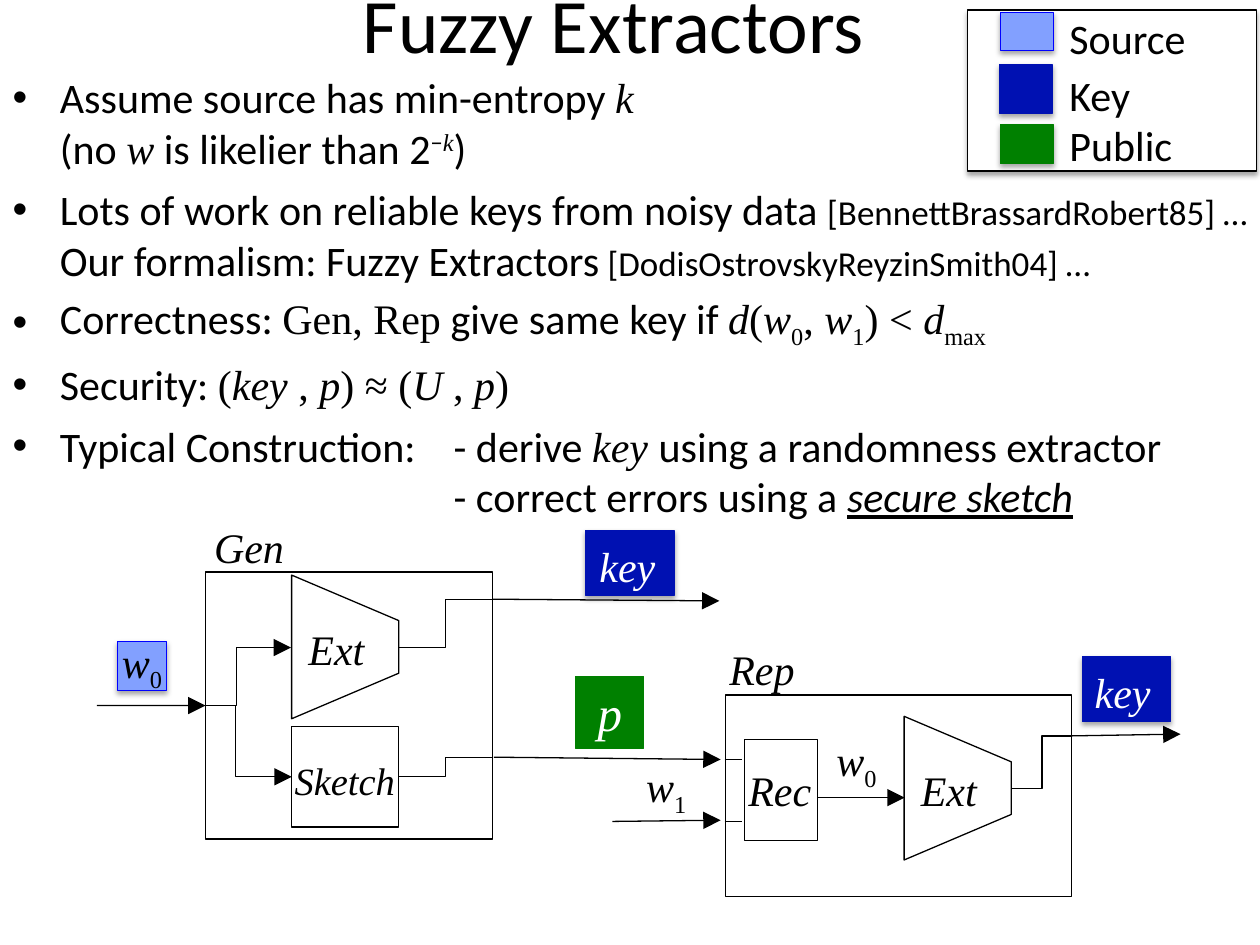
"""Build the Fuzzy Extractors slide: bullets, colour legend and the Gen / Rep diagram."""
from dataclasses import dataclass

from lxml.etree import SubElement
from pptx import Presentation
from pptx.dml.color import RGBColor
from pptx.enum.shapes import MSO_CONNECTOR, MSO_SHAPE
from pptx.enum.text import MSO_ANCHOR, MSO_AUTO_SIZE, PP_ALIGN
from pptx.oxml.ns import qn
from pptx.util import Pt


@dataclass(frozen=True)
class Theme:
    sans: str = "Calibri"
    serif: str = "Times New Roman"
    black: str = "000000"
    white: str = "FFFFFF"
    source: str = "82A0FF"
    source_line: str = "0000FF"
    key: str = "0011B2"
    public: str = "008000"
    title: float = 44
    symbol: float = 28
    body: float = 24
    small_label: float = 22
    citation: float = 20
    line: float = 0.75


THEME = Theme()
LABEL_HEIGHT = 36
LEFT, RIGHT = 1, 3

TITLE = "Fuzzy Extractors"
BULLETS = [
    [("Assume source has min-entropy ", ""), ("k", "math"), ("\n", ""), ("(no ", ""), ("w", "math"),
     (" is likelier than 2", ""), ("−", "sup"), ("k", "math sup"), (")", "")],
    [("Lots of work on reliable keys from noisy data ", ""),
     ("[BennettBrassardRobert85] …", "cite"), ("\n", ""),
     ("Our formalism: Fuzzy Extractors", ""), (" [DodisOstrovskyReyzinSmith04] …", "cite")],
    [("Correctness: ", ""), ("Gen, Rep", "serif"), (" give same key if ", ""), ("d", "math"),
     ("(", "serif"), ("w", "math"), ("0", "serif sub"), (", ", "serif"), ("w", "math"),
     ("1", "serif sub"), (") < ", "serif"), ("d", "math"), ("max", "serif sub")],
    [("Security: ", ""), ("(", "serif"), ("key", "math"), (" , ", "serif"), ("p", "math"),
     (") ≈ (", "serif"), ("U", "math"), (" , ", "serif"), ("p", "math"), (")", "serif")],
    [("Typical Construction: \t- derive ", ""), ("key ", "math"),
     ("using a randomness extractor", ""), ("\n", ""),
     ("\t\t\t\t\t\t\t- correct errors using a ", ""), ("secure sketch", "italic underline")],
]
LEGEND_FRAME = (553, 5.8, 165, 92)
LEGEND = [
    ("Source", THEME.source, THEME.source_line, (571.7, 7.2, 30.2, 21.6), 3.6, 110),
    ("Key", THEME.key, THEME.key, (571, 36.7, 30.2, 28.1), 36, 60),
    ("Public", THEME.public, THEME.public, (571.7, 71.3, 30.2, 22.3), 64.8, 93),
]
BOXES = {
    "Gen": (117.4, 326.9, 164.2, 152.6),
    "Rep": (414.4, 397.1, 198, 115.2),
    "Sketch": (166.7, 415.1, 61.2, 57.6),
    "Rec": (425.5, 422.6, 41.8, 57.6),
}
CHIPS = [
    (THEME.key, THEME.key, (334.8, 303.1, 50.4, 37.4)),
    (THEME.key, THEME.key, (618.5, 375.1, 50.4, 37.4)),
    (THEME.source, THEME.source_line, (67, 366.5, 28, 28)),
]
PUBLIC_CHIP = (329, 386.6, 38.9, 41)
EXTRACTORS = [(156.2, 339.1), (506.2, 419.8)]
EXTRACTOR_SIZE = (82.1, 61.2)
EXTRACTOR_TAPER = 0.425

W0 = [("w", "math"), ("0", "serif sub")]
W1 = [("w", "math"), ("1", "serif sub")]
LABELS = [
    ([("Gen", "math")], 115.2, 294.5, 63),
    ([("Rep", "math")], 409.7, 364.3, 60),
    (W0, 62.6, 360, 42),
    (W1, 362.2, 431.3, 42),
    (W0, 470.9, 416.2, 42),
    ([("key", "math white")], 335.5, 305.3, 55),
    ([("key", "math white")], 618.5, 377.3, 55),
    ([("Ext", "math")], 169.2, 352.8, 55),
    ([("Ext", "math")], 519.1, 433.4, 55),
    ([("Sketch", "math small")], 161.3, 429.1, 80),
    ([("Rec", "math")], 420.5, 433.4, 59),
]
STRAIGHT_LINES = [
    ((55.4, 403.2), ("Gen", LEFT), True),
    ((281.5, 342.4), (411.1, 343.4), True),
    ((282.2, 432.7), (411.8, 434), True),
    ((349.9, 469.4), (411.8, 468.7), True),
    ((612.7, 420.5), (674.6, 419.5), True),
    ((467.3, 455.8), (517, 455.8), True),
    ((414, 469.4), (424.1, 469.4), False),
    ((414, 434.2), (424.1, 434.2), False),
]
ELBOWS = [
    ((612.7, 420.5), (578.2, 450.7), False, 0.5),
    (("Gen", LEFT), (166.3, 370.1), True, 0.36),
    ((281.5, 342.7), (227.5, 370.1), False, 0.5),
    (("Gen", LEFT), ("Sketch", LEFT), True, 0.35),
    ((281.5, 432.7), ("Sketch", RIGHT), False, 0.5),
]


def color(value):
    return RGBColor.from_string(value)


def add_runs(paragraph, runs, size=THEME.body):
    for text, style in runs:
        if text == "\n":
            paragraph.add_line_break()
            continue
        marks = style.split()
        run = paragraph.add_run()
        run.text = text
        font = run.font
        font.name = THEME.serif if {"math", "serif"} & set(marks) else THEME.sans
        sizes = {"cite": THEME.citation, "small": THEME.small_label, "symbol": THEME.symbol}
        font.size = Pt(next((sizes[mark] for mark in marks if mark in sizes), size))
        font.color.rgb = color(THEME.white if "white" in marks else THEME.black)
        if "math" in marks or "italic" in marks:
            font.italic = True
        if "underline" in marks:
            font.underline = True
        for mark, baseline in (("sup", "30000"), ("sub", "-25000")):
            if mark in marks:
                font._element.set("baseline", baseline)


def place(shape, left, top, width, height):
    shape.left, shape.top, shape.width, shape.height = map(Pt, (left, top, width, height))


def add_box(slide, bounds, fill=None, line=THEME.black, kind=MSO_SHAPE.RECTANGLE, shadow=False):
    shape = slide.shapes.add_shape(kind, *map(Pt, bounds))
    shape.shadow.inherit = False
    if fill:
        shape.fill.solid()
        shape.fill.fore_color.rgb = color(fill)
    else:
        shape.fill.background()
    shape.line.color.rgb = color(line)
    shape.line.width = Pt(THEME.line)
    if shadow:
        effects = shape._element.spPr.find(qn("a:effectLst"))
        outer = SubElement(effects, qn("a:outerShdw"), blurRad=str(Pt(3.1)), dist=str(Pt(1.8)),
                           dir="5400000", rotWithShape="0")
        tint = SubElement(outer, qn("a:srgbClr"), val=THEME.black)
        SubElement(tint, qn("a:alpha"), val="35000")
    return shape


def add_label(slide, runs, left, top, width):
    box = slide.shapes.add_textbox(*map(Pt, (left, top, width, LABEL_HEIGHT)))
    box.text_frame.word_wrap = True
    add_runs(box.text_frame.paragraphs[0], runs)


def end_point(end):
    if end[0] not in BOXES:
        return end
    left, top, width, height = BOXES[end[0]]
    return left + (width if end[1] == RIGHT else 0), top + height / 2


def add_line(slide, boxes, begin, end, arrow, bend=None):
    kind = MSO_CONNECTOR.STRAIGHT if bend is None else MSO_CONNECTOR.ELBOW
    connector = slide.shapes.add_connector(kind, *map(Pt, end_point(begin) + end_point(end)))
    if begin[0] in boxes:
        connector.begin_connect(boxes[begin[0]], begin[1])
    if end[0] in boxes:
        connector.end_connect(boxes[end[0]], end[1])
    connector.line.color.rgb = color(THEME.black)
    connector.line.width = Pt(THEME.line)
    properties = connector._element.spPr
    if arrow:
        SubElement(properties.find(qn("a:ln")), qn("a:tailEnd"), type="triangle", w="lg", len="lg")
    if bend is not None:
        guides = properties.find(qn("a:prstGeom")).find(qn("a:avLst"))
        SubElement(guides, qn("a:gd"), name="adj1", fmla=f"val {round(bend * 100000)}")
    SubElement(properties, qn("a:effectLst"))


def add_text(slide):
    title, body = slide.placeholders[0], slide.placeholders[1]
    place(title, 26.6, -20.9, 648, 67.7)
    title.text_frame.vertical_anchor = MSO_ANCHOR.MIDDLE
    title.text_frame.paragraphs[0].alignment = PP_ALIGN.CENTER
    add_runs(title.text_frame.paragraphs[0], [(TITLE, "")], THEME.title)
    place(body, 0, 37.4, 748, 224.6)
    frame = body.text_frame
    frame.auto_size = MSO_AUTO_SIZE.NONE
    for index, runs in enumerate(BULLETS):
        add_runs(frame.paragraphs[0] if index == 0 else frame.add_paragraph(), runs)


def add_legend(slide):
    add_box(slide, LEGEND_FRAME, THEME.white, shadow=True)
    for name, fill, line, bounds, top, width in LEGEND:
        add_box(slide, bounds, fill, line, shadow=True)
        add_label(slide, [(name, "")], 604, top, width)


def add_diagram(slide):
    boxes = {name: add_box(slide, bounds) for name, bounds in BOXES.items()}
    for fill, line, bounds in CHIPS:
        add_box(slide, bounds, fill, line, shadow=True)
    chip = add_box(slide, PUBLIC_CHIP, THEME.public, THEME.public)
    chip.text_frame.word_wrap = False
    chip.text_frame.paragraphs[0].alignment = PP_ALIGN.CENTER
    add_runs(chip.text_frame.paragraphs[0], [("p", "math white symbol")])
    for position in EXTRACTORS:
        extractor = add_box(slide, position + EXTRACTOR_SIZE, kind=MSO_SHAPE.TRAPEZOID)
        extractor.adjustments[0] = EXTRACTOR_TAPER
        extractor.rotation = 90
    for line in STRAIGHT_LINES + ELBOWS:
        add_line(slide, boxes, *line)
    for label in LABELS:
        add_label(slide, *label)


def main():
    presentation = Presentation()
    presentation.slide_width, presentation.slide_height = Pt(720), Pt(540)
    slide = presentation.slides.add_slide(presentation.slide_layouts[1])
    add_text(slide)
    add_legend(slide)
    add_diagram(slide)
    presentation.save("out.pptx")


if __name__ == "__main__":
    main()
